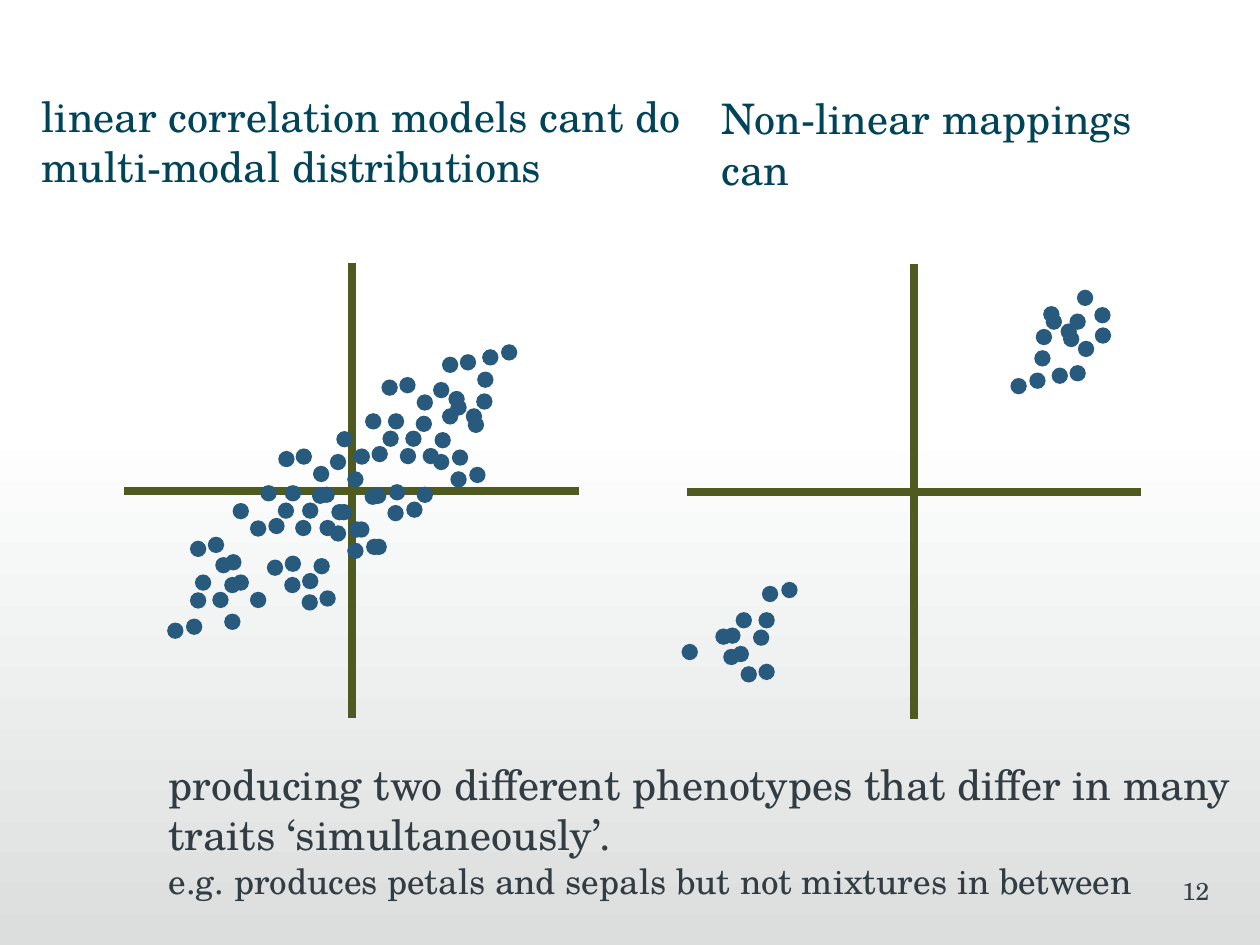
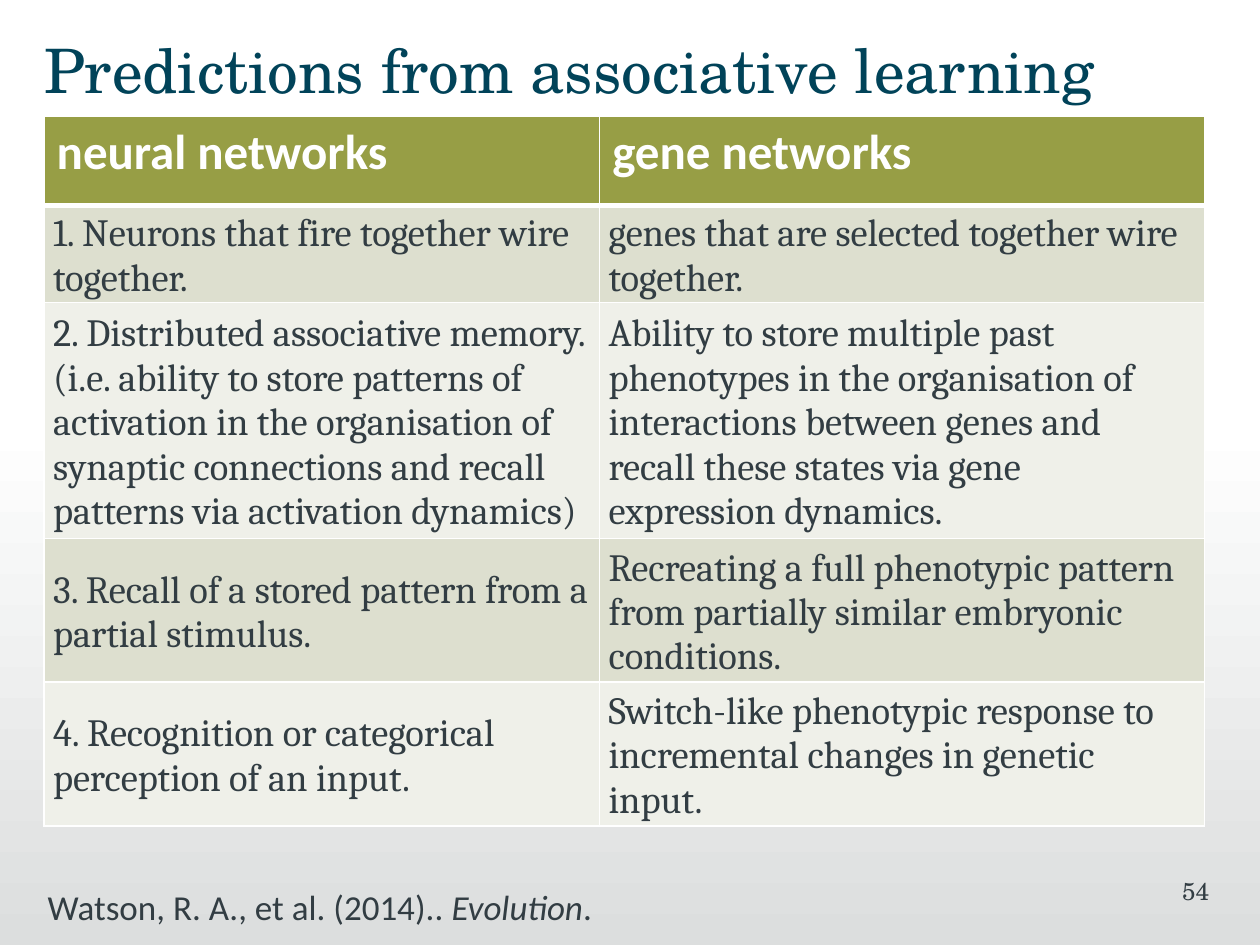
import pptx
import pptx.util
import pptx.dml.color
import pptx.enum.shapes
import pptx.enum.text
from lxml import etree

Cm, Pt = pptx.util.Cm, pptx.util.Pt
RGBColor = pptx.dml.color.RGBColor
PP_ALIGN = pptx.enum.text.PP_ALIGN
MSO_ANCHOR = pptx.enum.text.MSO_ANCHOR
MSO_SHAPE = pptx.enum.shapes.MSO_SHAPE

# Colours and fonts
WHITE = RGBColor(0xFF, 0xFF, 0xFF)
HAZE = RGBColor(0xDC, 0xDE, 0xDE)
TEAL = RGBColor(0x01, 0x43, 0x59)
SLATE = RGBColor(0x32, 0x3D, 0x43)
AXIS = RGBColor(0x4F, 0x5A, 0x20)
DOT = RGBColor(0x28, 0x5A, 0x7D)
HEADER = RGBColor(0x97, 0x9E, 0x45)
BANDS = (RGBColor(0xDD, 0xDF, 0xCF), RGBColor(0xEF, 0xF0, 0xE9))
SCHOLA, CALIBRI, CAMBRIA = "TeX Gyre Schola", "Calibri", "Cambria"

SLIDE_W, SLIDE_H = 25.4, 19.05
PLOT_SIZE = 9.17
DOT_SIZE = 0.33
DOT_STEP = 0.35

# Diagonal chains of dots: x and y of the first dot in the plot, dot count
LINEAR_CHAINS = [
    (5.18, 2.34, 1), (5.54, 2.29, 2), (6.25, 3.4, 3), (6.22, 2.39, 3),
    (4.85, 3.02, 3), (5.89, 4.5, 1), (5.87, 3.07, 1), (6.22, 3.84, 2),
    (4.27, 3.38, 2), (4.98, 3.68, 1), (5.33, 4.45, 2), (7.59, 1.63, 1),
    (5.31, 3.02, 3), (3.91, 4.5, 4), (4.95, 4.52, 2), (7.21, 1.73, 1),
    (3.1, 3.78, 1), (3.45, 3.73, 2), (4.17, 4.85, 3), (4.14, 3.84, 3),
    (2.74, 4.47, 3), (3.81, 5.94, 1), (3.78, 4.52, 1), (4.14, 5.28, 2),
    (2.18, 4.83, 2), (2.9, 5.13, 1), (3.23, 5.89, 3), (3.23, 4.47, 3),
    (1.83, 5.92, 3), (2.01, 7.06, 1), (2.87, 5.97, 3), (6.4, 1.88, 1),
    (6.76, 1.83, 2), (6.4, 2.92, 1), (7.09, 2.62, 1), (6.53, 2.57, 2),
    (1.32, 5.59, 1), (1.68, 5.51, 2), (1.32, 6.63, 1), (2.01, 6.32, 1),
    (1.42, 6.27, 2), (1.24, 7.16, 1), (0.86, 7.24, 1),
]
BIMODAL_CHAINS = [
    (7.87, 0.51, 2), (7.19, 0.84, 3), (8.23, 1.27, 1), (7.01, 1.73, 2),
    (7.72, 2.03, 1), (7.72, 0.99, 1), (7.04, 1.3, 1), (7.24, 0.99, 2),
    (6.53, 2.29, 1), (6.91, 2.18, 1), (0.58, 7.34, 2), (-0.1, 7.65, 1),
    (1.45, 8.05, 1), (0.74, 7.75, 2), (1.45, 7.01, 1), (0.76, 7.32, 1),
    (0.99, 7.01, 2), (1.52, 6.48, 1), (1.91, 6.4, 1),
]

PREDICTIONS = [
    ("neural networks", "gene networks"),
    ("1. Neurons that fire together wire together.",
     "genes that are selected together wire together."),
    ("2. Distributed associative memory. (i.e. ability to store patterns of "
     "activation in the organisation of synaptic connections and recall "
     "patterns via activation dynamics)",
     "Ability to store multiple past phenotypes in the organisation of "
     "interactions between genes and recall these states via gene "
     "expression dynamics."),
    ("3. Recall of a stored pattern from a partial stimulus.",
     "Recreating a full phenotypic pattern from partially similar embryonic "
     "conditions."),
    ("4. Recognition or categorical perception of an input.",
     "Switch-like phenotypic response to incremental changes in genetic "
     "input."),
]
COLUMN_WIDTHS = (11.2, 12.19)
ROW_HEIGHTS = (1.8, 1.6, 2.97, 1.85, 1.85)


def style(font, size, color, name=SCHOLA, bold=None):
    font.size, font.name, font.bold = Pt(size), name, bold
    font.color.rgb = color


def text_box(slide, box, text="", size=24, color=SLATE, name=SCHOLA,
             left_inset=0.0, right_inset=0.25):
    """Add a wrapped text box and return its first paragraph."""
    frame = slide.shapes.add_textbox(*map(Cm, box)).text_frame
    frame.word_wrap = True
    frame.margin_left, frame.margin_right = Cm(left_inset), Cm(right_inset)
    paragraph = frame.paragraphs[0]
    paragraph.text = text
    style(paragraph.font, size, color, name)
    return paragraph


def add_base(prs, number):
    """Blank slide with the fading band and the page number."""
    slide = prs.slides.add_slide(prs.slide_layouts[6])
    band_top = 8.46
    band = slide.shapes.add_shape(MSO_SHAPE.RECTANGLE, 0, Cm(band_top),
                                  Cm(SLIDE_W), Cm(SLIDE_H - band_top))
    band.shadow.inherit = False
    band.line.fill.background()
    band.fill.gradient()
    band.fill.gradient_angle = 270
    for stop, color in zip(band.fill.gradient_stops, (WHITE, HAZE)):
        stop.color.rgb = color
    page = text_box(slide, (19.1, 17.53, 5.28, 1.27), str(number), 14,
                    left_inset=0.25, right_inset=0)
    page.alignment = PP_ALIGN.RIGHT
    return slide


def add_axis(slide, x1, y1, x2, y2):
    axis = slide.shapes.add_connector(pptx.enum.shapes.MSO_CONNECTOR.STRAIGHT,
                                      Cm(x1), Cm(y1), Cm(x2), Cm(y2))
    axis.line.color.rgb = AXIS
    axis.line.width = Pt(4.5)
    etree.SubElement(axis._element.spPr, pptx.oxml.ns.qn("a:effectLst"))


def add_scatter(slide, left, top, chains):
    """Crossed axes with chains of dots running down to the right."""
    middle = PLOT_SIZE / 2
    add_axis(slide, left + middle, top, left + middle, top + PLOT_SIZE)
    add_axis(slide, left, top + middle, left + PLOT_SIZE, top + middle)
    for x, y, count in chains:
        for step in range(count):
            shift = step * DOT_STEP
            dot = slide.shapes.add_shape(
                MSO_SHAPE.OVAL, Cm(left + x + shift), Cm(top + y + shift),
                Cm(DOT_SIZE), Cm(DOT_SIZE))
            dot.shadow.inherit = False
            dot.fill.solid()
            dot.fill.fore_color.rgb = DOT
            dot.line.fill.background()


def border_cell(cell, bottom_width):
    """White rules round a cell; they precede the fill in its properties."""
    properties = cell._tc.get_or_add_tcPr()
    for index, side in enumerate(("lnL", "lnR", "lnT", "lnB")):
        width = bottom_width if side == "lnB" else 1
        rule = pptx.oxml.parse_xml(
            f'<a:{side} {pptx.oxml.ns.nsdecls("a")} w="{Pt(width)}">'
            f'<a:solidFill><a:srgbClr val="{WHITE}"/></a:solidFill></a:{side}>')
        properties.insert(index, rule)


def add_predictions(slide, left, top):
    table = slide.shapes.add_table(
        len(PREDICTIONS), len(COLUMN_WIDTHS), Cm(left), Cm(top),
        Cm(sum(COLUMN_WIDTHS)), Cm(sum(ROW_HEIGHTS))).table
    for column, width in zip(table.columns, COLUMN_WIDTHS):
        column.width = Cm(width)
    for r, (texts, height) in enumerate(zip(PREDICTIONS, ROW_HEIGHTS)):
        table.rows[r].height = Cm(height)
        is_header = r == 0
        for c, text in enumerate(texts):
            cell = table.cell(r, c)
            cell.text = text
            cell.fill.solid()
            cell.fill.fore_color.rgb = HEADER if is_header else BANDS[(r - 1) % 2]
            font = cell.text_frame.paragraphs[0].font
            if is_header:
                style(font, 28, WHITE, CALIBRI, True)
            else:
                style(font, 22, SLATE, CAMBRIA, False)
                cell.vertical_anchor = MSO_ANCHOR.MIDDLE
                cell.margin_left = cell.margin_right = Cm(0.18)
                cell.margin_top, cell.margin_bottom = Cm(0.1), 0
            border_cell(cell, 3 if is_header else 1)


def build_mappings(prs):
    slide = add_base(prs, 12)
    # Headings over the two plots
    text_box(slide, (0.84, 1.7, 13.61, 1.8),
             "linear correlation models cant do multi-modal distributions",
             color=TEAL)
    text_box(slide, (14.3, 1.75, 10.11, 1.27), "Non-linear mappings can",
             color=TEAL, left_inset=0.25)
    add_scatter(slide, 2.51, 5.31, LINEAR_CHAINS)
    add_scatter(slide, 13.84, 5.33, BIMODAL_CHAINS)
    # Conclusion with a smaller example
    conclusion = text_box(
        slide, (3.4, 15.16, 22, 2.92),
        "producing two different phenotypes that differ in many traits "
        "‘simultaneously’.", right_inset=0)
    conclusion.add_line_break()
    example = conclusion.add_run()
    example.text = "e.g. produces petals and sepals but not mixtures in between"
    example.font.size = Pt(20)


def build_predictions(prs):
    slide = add_base(prs, 54)
    text_box(slide, (0.89, 0.53, 23.6, 1.8),
             "Predictions from associative learning", 35, TEAL)
    add_predictions(slide, 0.89, 2.34)
    # Citation with the journal in italics
    citation = text_box(slide, (0.71, 17.73, 22.71, 1.12), "", 20,
                        name=CALIBRI, left_inset=0.25)
    for text, italic in (("Watson, R. A., et al. (2014).. ", False),
                         ("Evolution", True), (".", False)):
        part = citation.add_run()
        part.text = text
        part.font.italic = italic


def main():
    prs = pptx.Presentation()
    prs.slide_width, prs.slide_height = Cm(SLIDE_W), Cm(SLIDE_H)
    build_mappings(prs)
    build_predictions(prs)
    prs.save("out.pptx")


if __name__ == "__main__":
    main()
